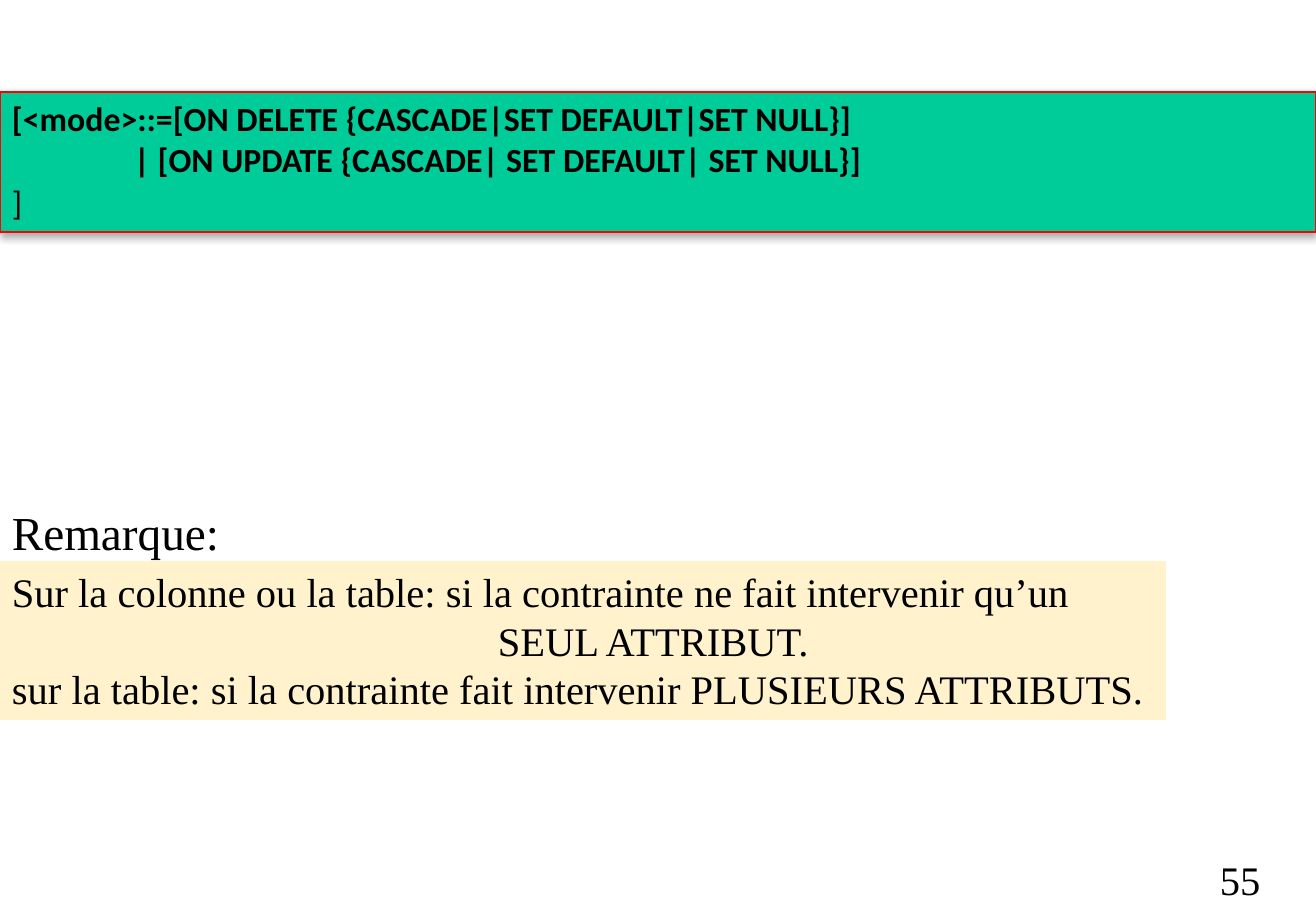
import pptx
import pptx.dml.color
import pptx.enum.shapes
import pptx.enum.text
import pptx.oxml
import pptx.oxml.ns
import pptx.util

RGBColor = pptx.dml.color.RGBColor
BLACK = RGBColor(0x00, 0x00, 0x00)
GREEN = RGBColor(0x00, 0xCC, 0x99)
RED = RGBColor(0xFF, 0x00, 0x00)
CREAM = RGBColor(0xFF, 0xF2, 0xCC)

PX_PER_INCH = 121.5


def px(n):
    return pptx.util.Emu(round(n * 914400 / PX_PER_INCH))


class Deck:
    serif = "Times New Roman"
    sans = "Calibri"

    def __init__(self, width, height):
        self.prs = pptx.Presentation()
        self.prs.slide_width, self.prs.slide_height = px(width), px(height)
        self.slide = self.prs.slides.add_slide(self.prs.slide_layouts[6])

    def fill_text(self, sp, lines, size, font, bold=False, indents=None, wrap=True):
        """Fill sp with lines; indents maps a line number to its left indent."""
        tf = sp.text_frame
        tf.word_wrap = wrap
        tf.vertical_anchor = pptx.enum.text.MSO_ANCHOR.TOP
        tf.text = "\n".join(lines)
        for i, p in enumerate(tf.paragraphs):
            p.alignment = pptx.enum.text.PP_ALIGN.LEFT
            if indents and i in indents:
                p._p.get_or_add_pPr().set("marL", str(px(indents[i])))
            p.font.size = pptx.util.Pt(size)
            p.font.name = font
            p.font.bold = bold
            p.font.color.rgb = BLACK
        return tf

    def text(self, x, y, w, h, lines, size, wrap=True):
        sp = self.slide.shapes.add_textbox(px(x), px(y), px(w), px(h))
        self.fill_text(sp, lines, size, self.serif, wrap=wrap)

    def panel(self, x, y, w, h, fill, line=None):
        sp = self.slide.shapes.add_shape(
            pptx.enum.shapes.MSO_SHAPE.RECTANGLE, px(x), px(y), px(w), px(h))
        sp.shadow.inherit = False
        sp.fill.solid()
        sp.fill.fore_color.rgb = fill
        if line is None:
            sp.line.fill.background()
        else:
            sp.line.color.rgb = line
            sp.line.width = pptx.util.Pt(0.75)
        return sp

    def drop_shadow(self, sp):
        effects = sp._element.spPr.find(pptx.oxml.ns.qn("a:effectLst"))
        effects.append(pptx.oxml.parse_xml(
            f'<a:outerShdw {pptx.oxml.ns.nsdecls("a")} blurRad="63500" '
            'dist="22860" dir="5400000" rotWithShape="0">'
            '<a:srgbClr val="000000"><a:alpha val="35000"/></a:srgbClr>'
            '</a:outerShdw>'))


def main():
    deck = Deck(1316, 911)

    # Syntax of the mode clause
    sp = deck.panel(0, 92, 1316, 140, GREEN, RED)
    deck.drop_shadow(sp)
    tf = deck.fill_text(sp, [
        "[<mode>::=[ON DELETE {CASCADE|SET DEFAULT|SET NULL}]",
        "| [ON UPDATE {CASCADE| SET DEFAULT| SET NULL}]",
        "]",
    ], 20, deck.sans, bold=True, indents={1: 122})
    closing = tf.paragraphs[-1]
    closing.font.bold = False
    closing.line_spacing = 0.8
    closing.space_before = pptx.util.Pt(6)

    # Remark
    deck.text(0, 497, 233, 69, ["Remarque:"], 28, wrap=False)
    sp = deck.panel(0, 561, 1166, 159, CREAM)
    deck.fill_text(sp, [
        "Sur la colonne ou la table: si la contrainte ne fait intervenir qu’un",
        "SEUL ATTRIBUT.",
        "sur la table: si la contrainte fait intervenir PLUSIEURS ATTRIBUTS.",
    ], 24, deck.serif, indents={1: 486})

    # Page number
    deck.text(1208, 849, 108, 62, ["55"], 24)

    deck.prs.save("out.pptx")


if __name__ == "__main__":
    main()
